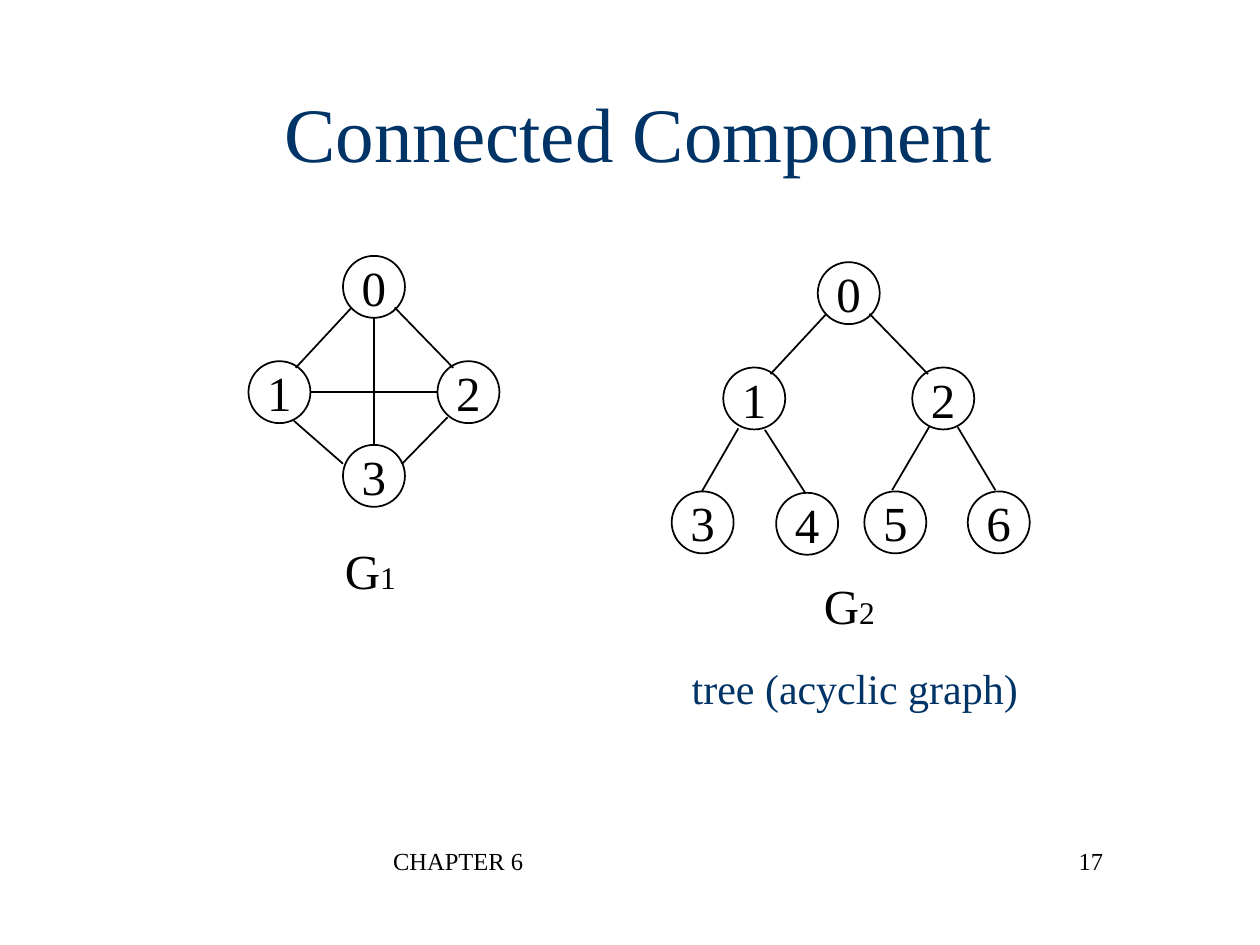
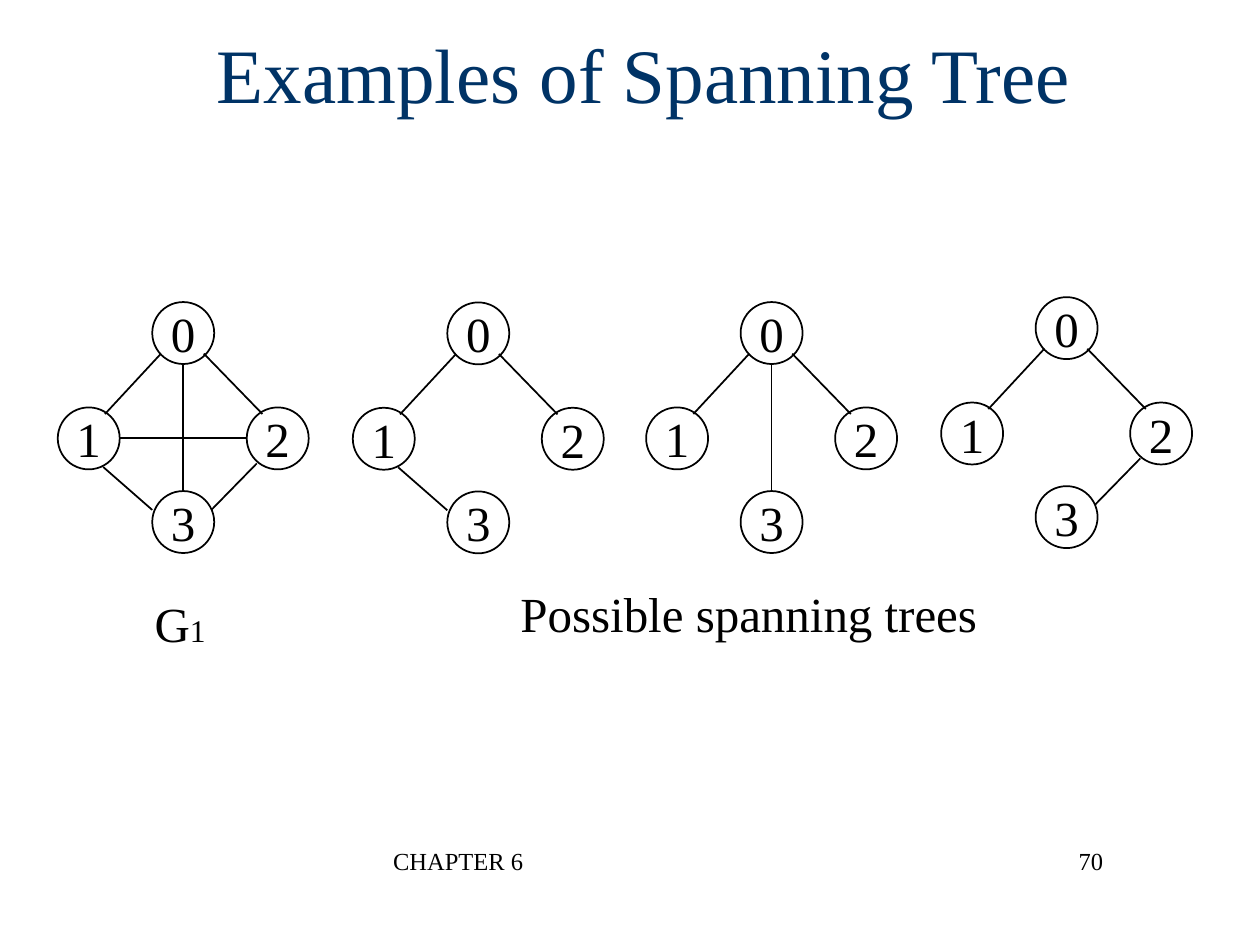
import pptx
import pptx.util
import pptx.dml.color
import pptx.enum.shapes
import pptx.enum.text
import pptx.oxml

Pt = pptx.util.Pt
ALIGN = pptx.enum.text.PP_ALIGN
ANCHOR = pptx.enum.text.MSO_ANCHOR
AUTO_SIZE = pptx.enum.text.MSO_AUTO_SIZE

COLOURS = {"ink": "000000", "heading": "003366", "node": "FFFFFF"}
FONT = "Times New Roman"
NODE_SIZE = 35.4
EFFECT_LIST = '<a:effectLst xmlns:a="http://schemas.openxmlformats.org/drawingml/2006/main"/>'

FRAMES = {
    "title": {"word_wrap": True, "vertical_anchor": ANCHOR.MIDDLE, "auto_size": AUTO_SIZE.NONE},
    "footer": {"word_wrap": True, "vertical_anchor": ANCHOR.TOP},
    "node": {"word_wrap": False, "vertical_anchor": ANCHOR.MIDDLE},
    "caption": {"word_wrap": False, "vertical_anchor": ANCHOR.TOP,
                "auto_size": AUTO_SIZE.SHAPE_TO_FIT_TEXT},
    "note": {"word_wrap": False, "vertical_anchor": ANCHOR.MIDDLE,
             "auto_size": AUTO_SIZE.SHAPE_TO_FIT_TEXT},
}

DIAMOND_NODES = {"0": (54, 0), "1": (0, 60.2), "2": (108, 60.2), "3": (54, 108)}
DIAMOND_EDGES = {
    "03": (71.7, 35.7, 71.7, 108),
    "12": (35.7, 77.8, 108, 77.8),
    "01": (59, 29.5, 27, 64),
    "02": (83.5, 29.5, 117, 64),
    "13": (26, 94.3, 54, 118.8),
    "23": (113.8, 92.2, 87.8, 118.8),
}
TREE_NODES = {**DIAMOND_NODES, "3": (-29.5, 131), "4": (30.2, 131.8),
              "5": (80.6, 131), "6": (139.7, 131)}
TREE_EDGES = {
    "01": DIAMOND_EDGES["01"],
    "02": DIAMOND_EDGES["02"],
    "13": (8.6, 95, -12.2, 131),
    "14": (23.8, 95.8, 46.8, 131.8),
    "25": (118, 93.6, 96.5, 130.3),
    "26": (134, 94.3, 155.5, 130.3),
}


def write(frame, kind, runs, align=ALIGN.LEFT, colour="ink"):
    for attribute, value in FRAMES[kind].items():
        setattr(frame, attribute, value)
    paragraph = frame.paragraphs[0]
    paragraph.alignment = align
    for words, size in runs:
        run = paragraph.add_run()
        run.text = words
        for attribute, value in {"name": FONT, "size": Pt(size)}.items():
            setattr(run.font, attribute, value)
        run.font.color.rgb = pptx.dml.color.RGBColor.from_string(COLOURS[colour])


def draw_graph(slide, left, top, nodes, edges):
    for label, (x, y) in nodes.items():
        node = slide.shapes.add_shape(pptx.enum.shapes.MSO_SHAPE.OVAL, Pt(left + x),
                                      Pt(top + y), Pt(NODE_SIZE), Pt(NODE_SIZE))
        node.shadow.inherit = False
        node.fill.solid()
        node.fill.fore_color.rgb = pptx.dml.color.RGBColor.from_string(COLOURS["node"])
        node.line.color.rgb = pptx.dml.color.RGBColor.from_string(COLOURS["ink"])
        node.line.width = Pt(1)
        write(node.text_frame, "node", [(label, 28)], ALIGN.CENTER)
    for x1, y1, x2, y2 in edges:
        edge = slide.shapes.add_connector(pptx.enum.shapes.MSO_CONNECTOR.STRAIGHT,
                                          Pt(left + x1), Pt(top + y1),
                                          Pt(left + x2), Pt(top + y2))
        edge.line.color.rgb = pptx.dml.color.RGBColor.from_string(COLOURS["ink"])
        edge.line.width = Pt(1)
        edge._element.spPr.append(pptx.oxml.parse_xml(EFFECT_LIST))


full_graph = (DIAMOND_NODES, DIAMOND_EDGES.values())
spanning_trees = [(DIAMOND_NODES, [DIAMOND_EDGES[pair] for pair in pairs])
                  for pairs in (("01", "02", "13"), ("03", "01", "02"), ("01", "02", "23"))]

lessons = [
    {
        "title": "Connected Component", "title_box": (59, 30, 612, 90), "page": "17",
        "graphs": [(142, 146.2, *full_graph), (413.3, 149.8, TREE_NODES, TREE_EDGES.values())],
        "captions": [((190, 305.3, 44, 41), [("G", 28), ("1", 18)]),
                     ((463.7, 325.5, 44, 41), [("G", 28), ("2", 18)])],
        "notes": [((388, 375, 201, 36), [("tree (acyclic graph)", 24)])],
    },
    {
        "title": "Examples of Spanning Tree", "title_box": (33, -3.6, 670, 90), "page": "70",
        "graphs": [(left, top, *graph) for left, top, graph in zip(
            (33, 201.6, 369.2, 537.8), (172.6, 172.8, 172.6, 169.8),
            (full_graph, *spanning_trees))],
        "captions": [((81.3, 335.5, 44, 41), [("G", 28), ("1", 18)]),
                     ((290.3, 329.8, 276, 41), [("Possible spanning trees", 28)])],
        "notes": [],
    },
]

deck = pptx.Presentation()
deck.slide_width, deck.slide_height = Pt(720), Pt(540)

for lesson in lessons:
    slide = deck.slides.add_slide(deck.slide_layouts[5])
    title = slide.shapes.title
    for side, value in zip(("left", "top", "width", "height"), lesson["title_box"]):
        setattr(title, side, Pt(value))
    write(title.text_frame, "title", [(lesson["title"], 44)], ALIGN.CENTER, "heading")

    for graph in lesson["graphs"]:
        draw_graph(slide, *graph)

    texts = [((217.5, 480, 228, 36), "footer", [("CHAPTER 6", 14)], ALIGN.LEFT, "ink"),
             ((487.5, 480, 150, 36), "footer", [(lesson["page"], 14)], ALIGN.RIGHT, "ink")]
    texts += [(box, "caption", runs, ALIGN.LEFT, "ink") for box, runs in lesson["captions"]]
    texts += [(box, "note", runs, ALIGN.CENTER, "heading") for box, runs in lesson["notes"]]
    for box, *content in texts:
        write(slide.shapes.add_textbox(*map(Pt, box)).text_frame, *content)

deck.save("out.pptx")
